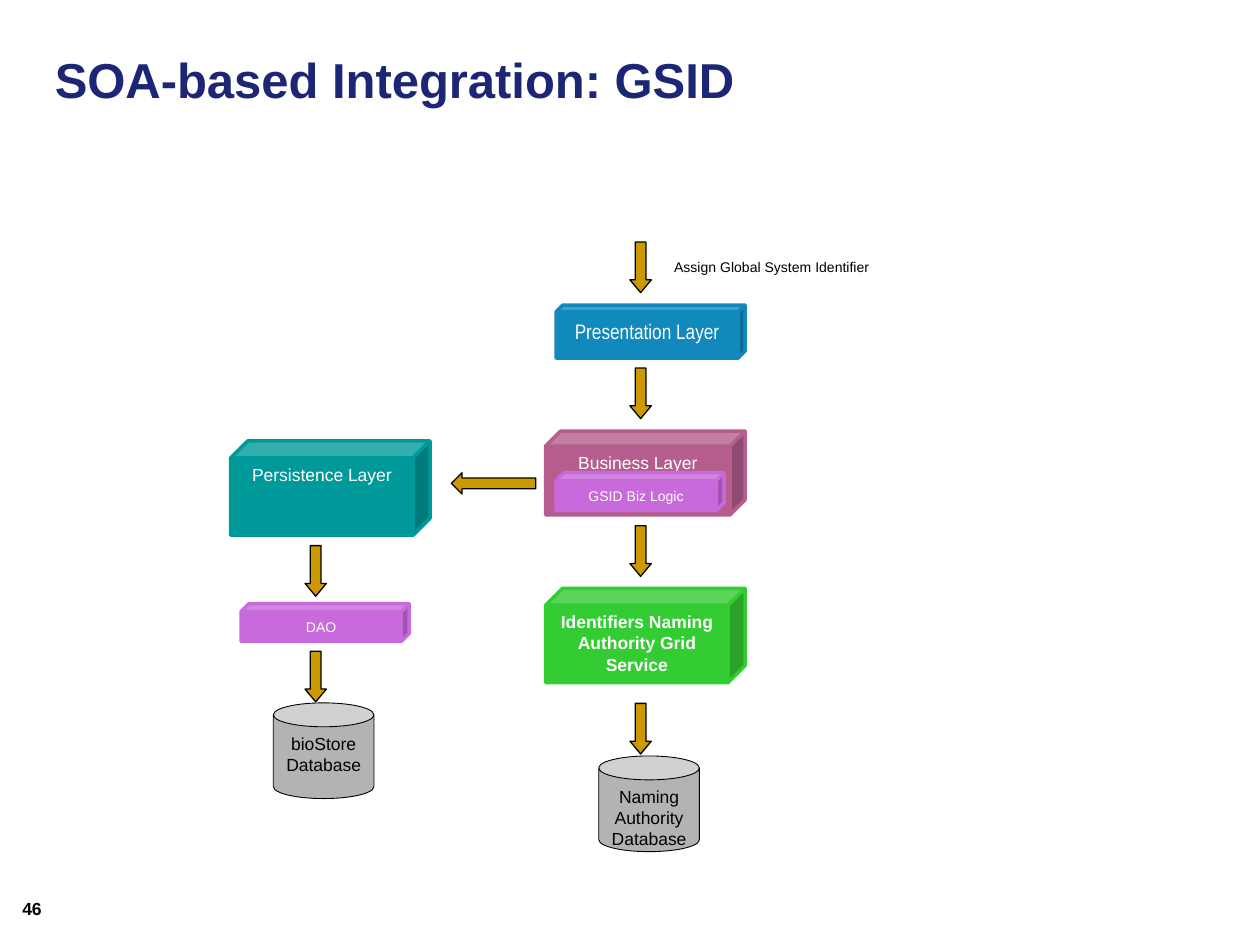
from pptx import Presentation
from pptx import util as u
from pptx.dml.color import RGBColor
from pptx.enum import shapes, text

SHAPE = shapes.MSO_SHAPE
ALIGN = text.PP_ALIGN
ANCHOR = text.MSO_ANCHOR

NAVY, BLACK, WHITE = "1C2674", "000000", "FFFFFF"
GOLD, GREY, TEAL = "CC9900", "B3B3B3", "009999"
BLUE, ROSE, VIOLET, GREEN = "1189BC", "B55E8D", "C96ADC", "33CC33"

ARROW_THICK, ARROW_LEN = 0.43, 1.02
CUBE_W, CUBE_H = 4.02, 1.9


def rgb(value):
    return RGBColor.from_string(value)


def cm(*lengths):
    return [u.Cm(n) for n in lengths]


def write(s, words, size, color, bold=False, font="Arial",
          align=ALIGN.CENTER, anchor=ANCHOR.TOP):
    tf = s.text_frame
    tf.word_wrap = True
    tf.vertical_anchor = anchor
    tf.text = words
    p = tf.paragraphs[0]
    p.alignment = align
    f = p.runs[0].font
    f.name, f.size, f.bold = font, u.Pt(size), bold
    f.color.rgb = rgb(color)


def add_label(slide, box, words, size, bold=False):
    s = slide.shapes.add_textbox(*cm(*box))
    write(s, words, size, BLACK, bold, align=ALIGN.LEFT)


def add_shape(slide, kind, box, fill, line, weight, adj):
    s = slide.shapes.add_shape(kind, *cm(*box))
    s.shadow.inherit = False
    s.fill.solid()
    s.fill.fore_color.rgb = rgb(fill)
    s.line.color.rgb = rgb(line)
    s.line.width = u.Pt(weight)
    for i, value in enumerate(adj):
        s.adjustments[i] = value
    return s


def add_cube(slide, box, color, words, adj=0.18, size=10, **style):
    s = add_shape(slide, SHAPE.CUBE, box, color, color, 2, [adj])
    write(s, words, size, WHITE, **style)


def add_module(slide, left, top, words):
    """Small violet cube for a component inside or below a layer."""
    s = add_shape(slide, SHAPE.CUBE, (left, top, 3.39, 0.76), VIOLET, VIOLET, 2, [0.21])
    s.text_frame.margin_left = s.text_frame.margin_right = 0
    write(s, words, 8, WHITE, anchor=ANCHOR.MIDDLE)


def add_database(slide, left, top, words):
    s = add_shape(slide, SHAPE.CAN, (left, top, 2.03, 1.93), GREY, BLACK, 0.5, [0.25])
    write(s, words, 10, BLACK)


def add_down_arrow(slide, left, top):
    add_shape(slide, SHAPE.DOWN_ARROW, (left, top, ARROW_THICK, ARROW_LEN),
              GOLD, BLACK, 0.75, [0.5, 0.6])


def add_title(slide, box, words):
    s = slide.shapes.title
    s.left, s.top, s.width, s.height = cm(*box)
    write(s, words, 28, NAVY, True, align=ALIGN.LEFT, anchor=ANCHOR.MIDDLE)


def add_persistence_column(slide, left, top):
    add_cube(slide, (left, top, CUBE_W, CUBE_H), TEAL, "Persistence Layer")
    add_module(slide, left + 0.21, top + 3.28, "DAO")
    add_database(slide, left + 0.86, top + 5.28, "bioStore Database")
    for dy in (2.11, 4.24):
        add_down_arrow(slide, left + 1.5, top + dy)


def add_service_column(slide, left, top):
    add_label(slide, (left + 2.34, top + 0.2, 4.88, 1.12),
              "Assign Global System Identifier", 8)
    add_cube(slide, (left + 0.21, top + 1.27, 3.81, 1.07), BLUE,
             "Presentation Layer", adj=0.13, size=12, font="Arial Narrow")
    add_cube(slide, (left, top + 3.81, CUBE_W, 1.69), ROSE, "Business Layer")
    add_module(slide, left + 0.21, top + 4.65, "GSID Biz Logic")
    add_cube(slide, (left, top + 6.98, CUBE_W, CUBE_H), GREEN,
             "Identifiers Naming Authority Grid Service", bold=True)
    add_database(slide, left + 1.07, top + 10.36, "Naming Authority Database")
    for dy in (0, 2.54, 5.72, 9.3):
        add_down_arrow(slide, left + 1.7, top + dy)


def main():
    prs = Presentation()
    prs.slide_width, prs.slide_height = cm(25.4, 19.05)
    slide = prs.slides.add_slide(prs.slide_layouts[5])
    add_title(slide, (0.85, 0, 19.05, 3.18), "SOA-based Integration: GSID")
    add_persistence_column(slide, 4.65, 8.89)
    add_service_column(slide, 11, 4.88)
    add_shape(slide, SHAPE.LEFT_ARROW, (9.1, 9.53, 1.7, ARROW_THICK),
              GOLD, BLACK, 0.75, [0.5, 0.5])
    add_label(slide, (0.2, 17.98, 1.07, 0.69), "46", 10, bold=True)
    prs.save("out.pptx")


if __name__ == "__main__":
    main()
